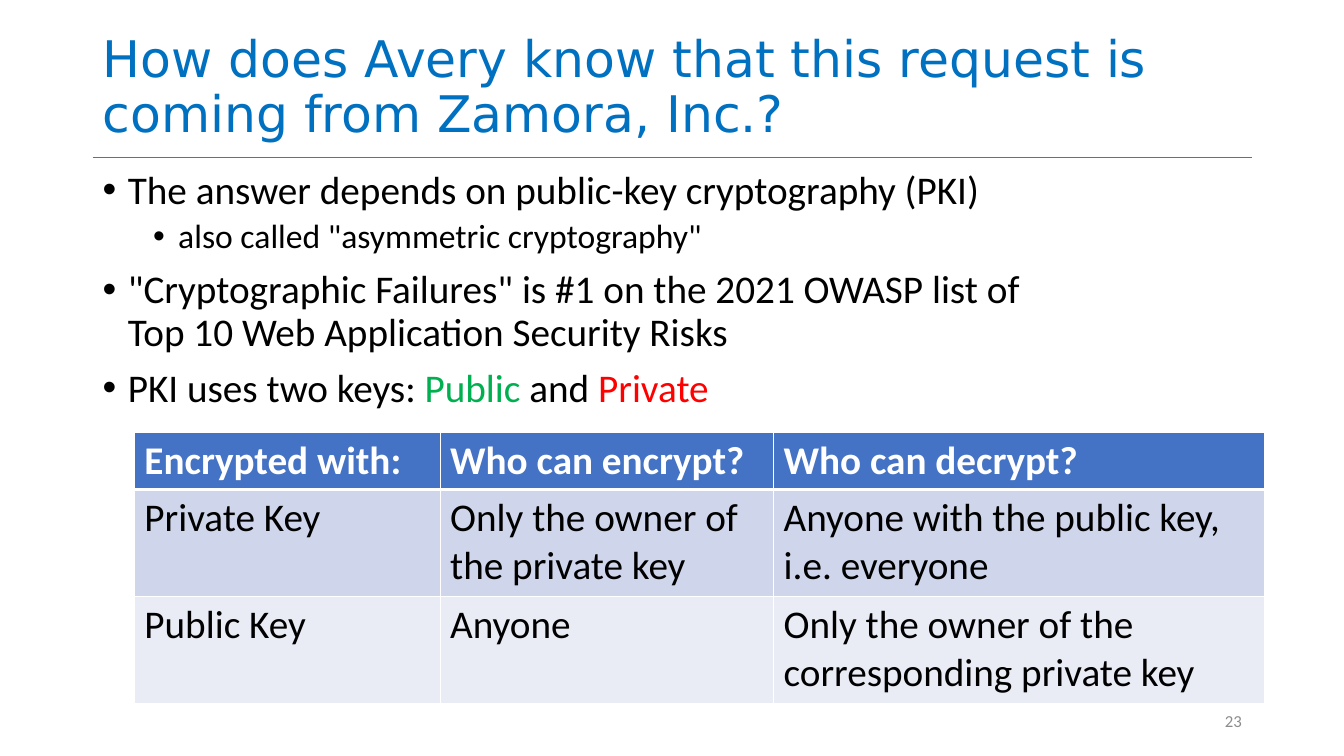
from dataclasses import dataclass

from lxml.etree import SubElement
from pptx import Presentation
from pptx.dml.color import RGBColor
from pptx.enum.shapes import MSO_CONNECTOR
from pptx.enum.text import MSO_ANCHOR, MSO_AUTO_SIZE, PP_ALIGN
from pptx.oxml.ns import qn
from pptx.util import Inches, Pt

W, H = Inches(13.33), Inches(7.5)
BLACK, WHITE, BLUE = "000000", "FFFFFF", "4472C4"
LEFT, WIDTH = 6.9, 86.25


@dataclass
class Box:
    """A place on the slide, in percent of its width and height."""
    left: float
    top: float
    width: float
    height: float

    def emu(self) -> tuple:
        return px(self.left), py(self.top), px(self.width), py(self.height)


@dataclass
class Bullet:
    """A bulleted paragraph made of (text, colour) runs."""
    runs: list
    level: int = 0
    size: int = 28
    before: int = 10


@dataclass
class Row:
    """A table row with its height in percent and its look."""
    cells: list
    height: float
    fill: str
    color: str = BLACK
    bold: bool = False
    anchor: MSO_ANCHOR = MSO_ANCHOR.TOP
    bottom: int = 1


BULLETS = [
    Bullet([("The answer depends on public-key cryptography (PKI)", BLACK)], before=0),
    Bullet([('also called "asymmetric cryptography"', BLACK)], level=1, size=24, before=5),
    Bullet([('"Cryptographic Failures" is #1 on the 2021 OWASP list of '
             "Top 10 Web Application Security Risks", BLACK)]),
    Bullet([("PKI uses two keys: ", BLACK), ("Public", "00B050"),
            (" and ", BLACK), ("Private", "FF0000")]),
]
COLUMNS = [22.75, 24.81, 36.55]
ROWS = [
    Row(["Encrypted with:", "Who can encrypt?", "Who can decrypt?"], 7.47, BLUE,
        color=WHITE, bold=True, anchor=MSO_ANCHOR.MIDDLE, bottom=3),
    Row(["Private Key", "Only the owner of the private key",
         "Anyone with the public key, i.e. everyone"], 14.13, "CFD5EA"),
    Row(["Public Key", "Anyone",
         "Only the owner of the corresponding private key"], 14.13, "E9EBF5"),
]


def px(share: float) -> int:
    """Turn a percentage of the slide width into a length."""
    return round(W * share / 100)


def py(share: float) -> int:
    """Turn a percentage of the slide height into a length."""
    return round(H * share / 100)


def rgb(color: str) -> RGBColor:
    """Turn a hex string into a colour."""
    return RGBColor.from_string(color)


def add_text(p, text: str, size: int = 28, color: str = BLACK,
             font: str = "Calibri", bold: bool = False) -> None:
    """Add a formatted run to a paragraph."""
    r = p.add_run()
    r.text = text
    r.font.size, r.font.name, r.font.bold = Pt(size), font, bold
    r.font.color.rgb = rgb(color)


def add_box(s, box: Box, anchor: MSO_ANCHOR = MSO_ANCHOR.TOP):
    """Add a wrapping text box and return its text frame."""
    tf = s.shapes.add_textbox(*box.emu()).text_frame
    tf.word_wrap, tf.vertical_anchor = True, anchor
    return tf


def add_title(s, text: str) -> None:
    """Place and fill the title placeholder."""
    sp = s.shapes.title
    sp.left, sp.top, sp.width, sp.height = Box(LEFT, 0.27, WIDTH, 19.33).emu()
    tf = sp.text_frame
    tf.word_wrap, tf.auto_size = True, MSO_AUTO_SIZE.NONE
    tf.vertical_anchor = MSO_ANCHOR.BOTTOM
    p = tf.paragraphs[0]
    p.alignment, p.line_spacing = PP_ALIGN.LEFT, 0.9
    add_text(p, text, size=36, color="0070C0", font="DejaVu Sans")


def add_rule(s, top: float) -> None:
    """Draw the thin line under the title."""
    x, y, width, _ = Box(LEFT, top, WIDTH, 0).emu()
    line = s.shapes.add_connector(MSO_CONNECTOR.STRAIGHT, x, y, x + width, y)
    line.line.color.rgb, line.line.width = rgb(BLUE), Pt(0.5)
    SubElement(line._element.spPr, qn("a:effectLst"))


def add_bullets(s, box: Box, bullets: list) -> None:
    """Write the bulleted paragraphs."""
    tf = add_box(s, box)
    for i, bullet in enumerate(bullets):
        p = tf.add_paragraph() if i else tf.paragraphs[0]
        p.level, p.line_spacing, p.space_before = bullet.level, 0.9, Pt(bullet.before)
        pPr = p._p.get_or_add_pPr()
        pPr.set("marL", str(Inches(0.25 + 0.5 * bullet.level)))
        pPr.set("indent", str(Inches(-0.25)))
        SubElement(pPr, qn("a:buFont"), typeface="Arial")
        SubElement(pPr, qn("a:buChar"), char="•")
        for text, color in bullet.runs:
            add_text(p, text, size=bullet.size, color=color)


def add_borders(cell, top: int, bottom: int) -> None:
    """Give a cell white borders, with top and bottom widths in points."""
    tcPr = cell._tc.get_or_add_tcPr()
    for side, width in {"L": 1, "R": 1, "T": top, "B": bottom}.items():
        ln = SubElement(tcPr, qn(f"a:ln{side}"), w=str(Pt(width)))
        SubElement(SubElement(ln, qn("a:solidFill")), qn("a:srgbClr"), val=WHITE)


def add_key_table(s, left: float, top: float) -> None:
    """Build the table of keys."""
    box = Box(left, top, sum(COLUMNS), sum(row.height for row in ROWS))
    table = s.shapes.add_table(len(ROWS), len(COLUMNS), *box.emu()).table
    for column, width in zip(table.columns, COLUMNS):
        column.width = px(width)
    above = 1
    for i, row in enumerate(ROWS):
        table.rows[i].height = py(row.height)
        for j, text in enumerate(row.cells):
            cell = table.cell(i, j)
            add_borders(cell, above, row.bottom)
            cell.fill.solid()
            cell.fill.fore_color.rgb = rgb(row.fill)
            cell.vertical_anchor = row.anchor
            add_text(cell.text_frame.paragraphs[0], text, color=row.color, bold=row.bold)
        above = row.bottom


def add_number(s, box: Box, number: str) -> None:
    """Write the slide number."""
    p = add_box(s, box, MSO_ANCHOR.MIDDLE).paragraphs[0]
    p.alignment = PP_ALIGN.RIGHT
    add_text(p, number, size=12, color="8C8C8C")


def main() -> None:
    """Build and save the slide."""
    prs = Presentation()
    prs.slide_width, prs.slide_height = W, H
    s = prs.slides.add_slide(prs.slide_layouts[5])
    add_rule(s, 20.8)
    add_title(s, "How does Avery know that this request is coming from Zamora, Inc.?")
    add_bullets(s, Box(LEFT, 21.87, 71.93, 63.47), BULLETS)
    add_number(s, Box(70.65, 92.67, 22.5, 5.33), "23")
    add_key_table(s, 10, 57.2)
    prs.save("out.pptx")


if __name__ == "__main__":
    main()
